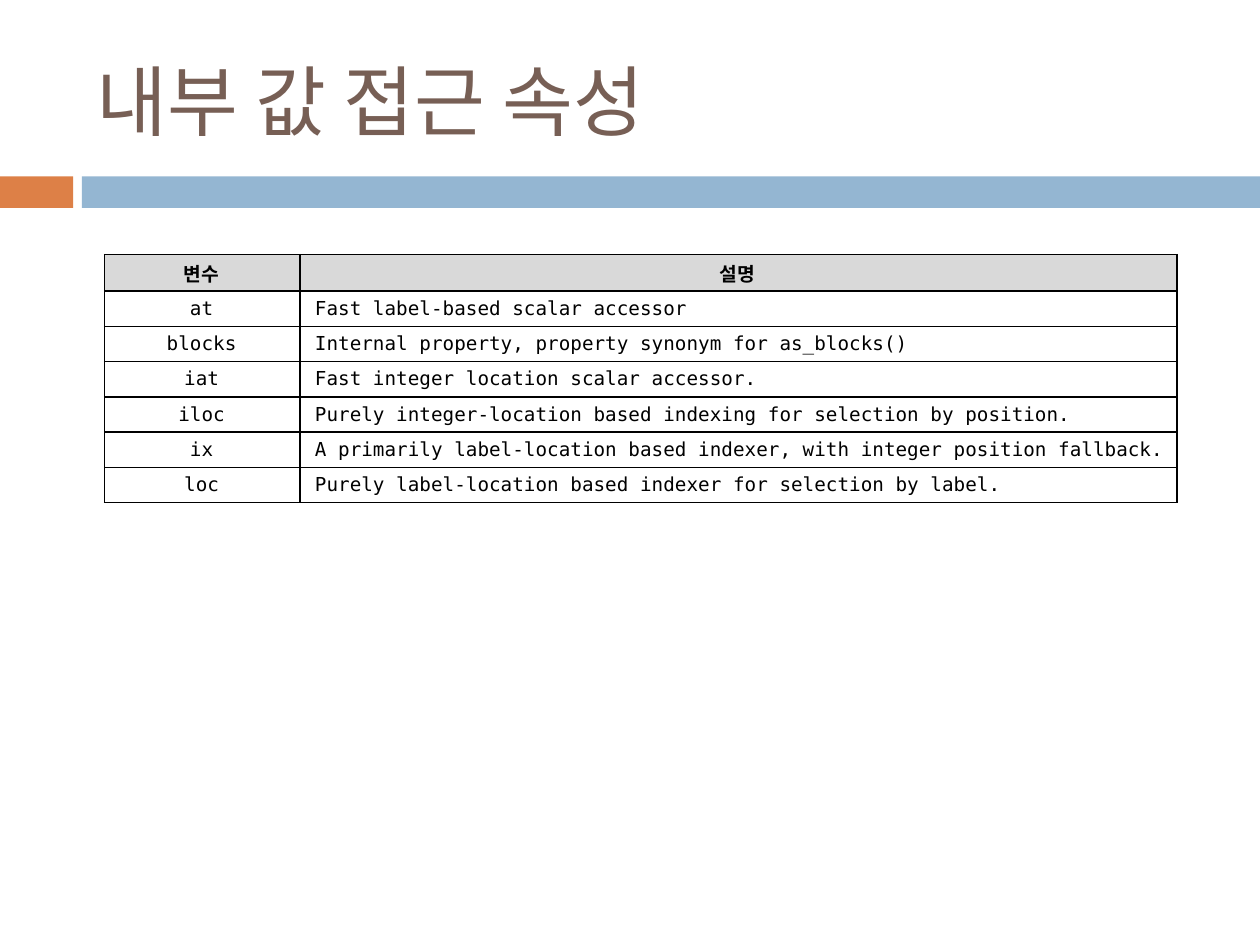
from lxml import etree
from pptx import Presentation
from pptx.dml.color import RGBColor
from pptx.enum.shapes import MSO_SHAPE
from pptx.enum.text import MSO_ANCHOR, PP_ALIGN
from pptx.oxml.ns import qn
from pptx.util import Inches, Pt

RECT = MSO_SHAPE.RECTANGLE
MIDDLE = MSO_ANCHOR.MIDDLE
LEFT, CENTER = PP_ALIGN.LEFT, PP_ALIGN.CENTER

COLORS = {
    "title": "775F55",
    "accent": "DD8047",
    "band": "94B6D2",
    "head": "D9D9D9",
    "body": "FFFFFF",
    "ink": "000000",
}
ROWS = [
    ("변수", "설명"),
    ("at", "Fast label-based scalar accessor"),
    ("blocks", "Internal property, property synonym for as_blocks()"),
    ("iat", "Fast integer location scalar accessor."),
    ("iloc", "Purely integer-location based indexing for selection by position."),
    ("ix", "A primarily label-location based indexer, with integer position fallback."),
    ("loc", "Purely label-location based indexer for selection by label."),
]


class Deck:
    """Holds the text style and the current slide."""

    font = "DejaVu Sans Mono"

    def __init__(self, slide):
        self.slide = slide

    def color(self, name):
        return RGBColor.from_string(COLORS[name])

    def label(self, frame, text, size, color, align=LEFT, bold=False):
        frame.text = text
        para = frame.paragraphs[0]
        para.alignment = align
        font = para.runs[0].font
        font.name, font.size, font.bold = self.font, Pt(size), bold
        font.color.rgb = self.color(color)

    def bar(self, left, top, width, height, color):
        shape = self.slide.shapes.add_shape(
            RECT, Inches(left), Inches(top), Inches(width), Inches(height))
        shape.shadow.inherit = False
        shape.fill.solid()
        shape.fill.fore_color.rgb = self.color(color)
        shape.line.fill.background()

    def title(self, left, top, width, height, text):
        box = self.slide.shapes.add_textbox(
            Inches(left), Inches(top), Inches(width), Inches(height))
        frame = box.text_frame
        frame.word_wrap = True
        frame.vertical_anchor = MIDDLE
        self.label(frame, text, 44, "title")

    def border(self, cell):
        """Put a 1 pt line on all four sides, ahead of the cell fill."""
        props = cell._tc.get_or_add_tcPr()
        for spot, side in enumerate(("a:lnL", "a:lnR", "a:lnT", "a:lnB")):
            line = etree.Element(qn(side), w=str(Pt(1)))
            fill = etree.SubElement(line, qn("a:solidFill"))
            etree.SubElement(fill, qn("a:srgbClr"), val=COLORS["ink"])
            props.insert(spot, line)

    def cell(self, cell, text, head, first):
        centered = head or first
        cell.vertical_anchor = MIDDLE
        cell.margin_left = Inches(0.03 if centered else 0.12)
        cell.margin_right = Inches(0.04)
        cell.margin_top = cell.margin_bottom = Inches(0.01)
        cell.fill.solid()
        cell.fill.fore_color.rgb = self.color("head" if head else "body")
        self.border(cell)
        self.label(cell.text_frame, text, 11, "ink",
                   CENTER if centered else LEFT, head)

    def table(self, left, top, widths, heights, rows):
        table = self.slide.shapes.add_table(
            len(rows), len(widths), Inches(left), Inches(top),
            Inches(sum(widths)), Inches(sum(heights))).table
        for col, width in zip(table.columns, widths):
            col.width = Inches(width)
        for row, height in zip(table.rows, heights):
            row.height = Inches(height)
        for r, texts in enumerate(rows):
            for c, text in enumerate(texts):
                self.cell(table.cell(r, c), text, r == 0, c == 0)


def main():
    prs = Presentation()
    prs.slide_width, prs.slide_height = Inches(10), Inches(7.5)
    deck = Deck(prs.slides.add_slide(prs.slide_layouts[6]))
    deck.bar(0, 1.4, 0.58, 0.25, "accent")
    deck.bar(0.65, 1.4, 9.35, 0.25, "band")
    deck.title(0.67, 0.25, 8.92, 1.08, "내부 값 접근 속성")
    heights = [0.29] + [0.28] * (len(ROWS) - 1)
    deck.table(0.83, 2.02, [1.55, 6.96], heights, ROWS)
    prs.save("out.pptx")


if __name__ == "__main__":
    main()
